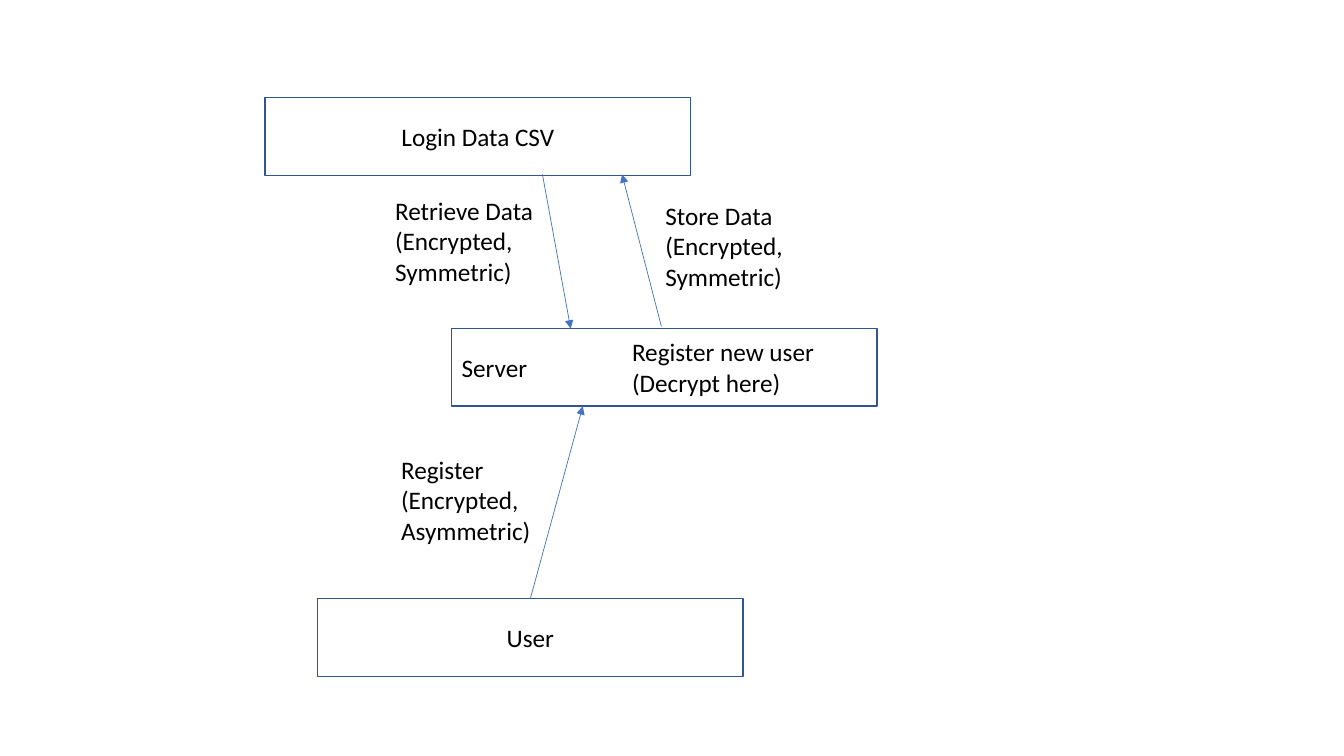
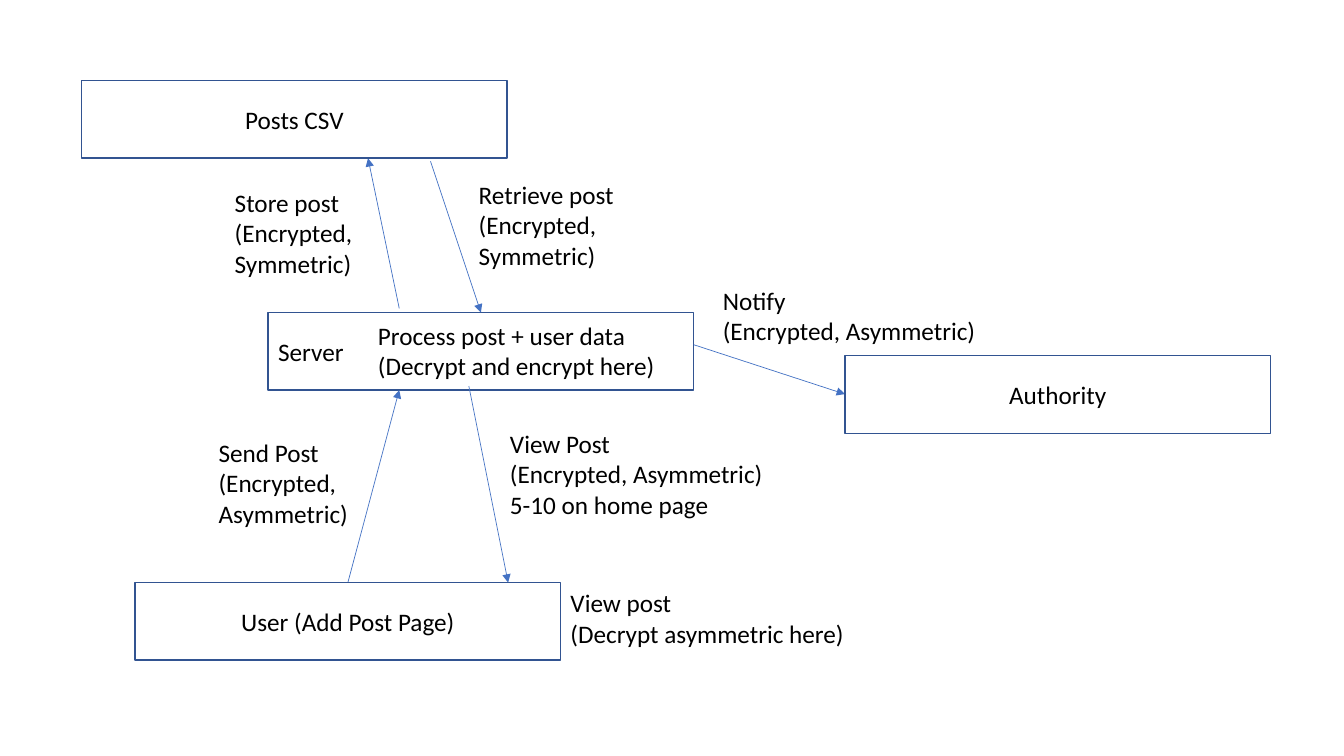
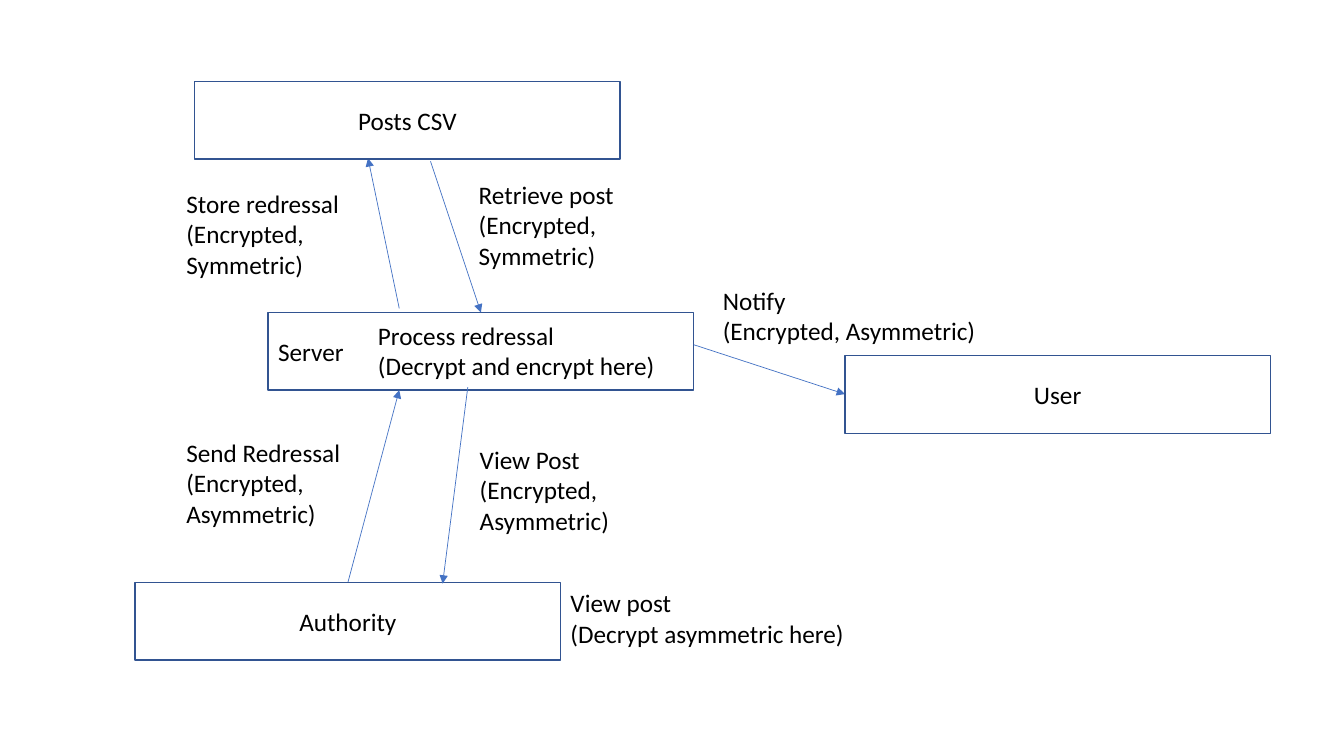
"""Build three data-flow slides showing where messages are encrypted."""
from dataclasses import dataclass

from lxml import etree
from pptx import Presentation
from pptx import util as u
from pptx.dml import color
from pptx.enum import shapes, text
from pptx.oxml import ns

FONT, SIZE = "Calibri", 18
INK, PAPER, EDGE, ARROW = "000000", "FFFFFF", "325491", "4472C4"
BOX_W, BOX_H = 4.22, 0.77
LINE_H, PAD = 0.3, 0.11
LEFT, MID = text.PP_ALIGN.LEFT, text.PP_ALIGN.CENTER


@dataclass(frozen=True)
class Node:
    """A framed party in the flow."""
    name: str
    x: float
    y: float
    align: text.PP_ALIGN = MID


@dataclass(frozen=True)
class Link:
    """An arrow from one point to another."""
    x1: float
    y1: float
    x2: float
    y2: float


@dataclass(frozen=True)
class Label:
    """A free note, with its width and line count."""
    words: str
    x: float
    y: float
    width: float
    lines: int = 3


def paint(fmt, shade: str) -> None:
    """Give a fill a solid colour."""
    fmt.solid()
    fmt.fore_color.rgb = color.RGBColor.from_string(shade)


def write(frame, words: str, *, align=LEFT, anchor=text.MSO_ANCHOR.TOP,
          fit=text.MSO_AUTO_SIZE.NONE, size: int = SIZE,
          shade: str = INK) -> None:
    """Put formatted text in a frame."""
    frame.text = words
    frame.word_wrap = True
    frame.auto_size = fit
    frame.vertical_anchor = anchor
    for para in frame.paragraphs:
        para.alignment = align
        for run in para.runs:
            run.font.name = FONT
            run.font.size = u.Pt(size)
            paint(run.font.fill, shade)


def draw_node(slide, node: Node) -> None:
    """Draw a framed party."""
    rect = slide.shapes.add_shape(
        shapes.MSO_SHAPE.RECTANGLE, u.Inches(node.x), u.Inches(node.y),
        u.Inches(BOX_W), u.Inches(BOX_H))
    rect.shadow.inherit = False
    paint(rect.fill, PAPER)
    paint(rect.line.fill, EDGE)
    rect.line.width = u.Pt(1)
    write(rect.text_frame, node.name, align=node.align,
          anchor=text.MSO_ANCHOR.MIDDLE)


def draw_link(slide, link: Link) -> None:
    """Draw an arrow."""
    wire = slide.shapes.add_connector(
        shapes.MSO_CONNECTOR.STRAIGHT, u.Inches(link.x1), u.Inches(link.y1),
        u.Inches(link.x2), u.Inches(link.y2))
    paint(wire.line.fill, ARROW)
    wire.line.width = u.Pt(0.5)
    props = wire._element.spPr
    etree.SubElement(props.find(ns.qn("a:ln")), ns.qn("a:tailEnd"),
                     type="triangle")
    etree.SubElement(props, ns.qn("a:effectLst"))


def draw_label(slide, label: Label) -> None:
    """Draw a free note."""
    box = slide.shapes.add_textbox(
        u.Inches(label.x), u.Inches(label.y), u.Inches(label.width),
        u.Inches(label.lines * LINE_H + PAD))
    write(box.text_frame, label.words,
          fit=text.MSO_AUTO_SIZE.SHAPE_TO_FIT_TEXT)


DRAW = {Node: draw_node, Link: draw_link, Label: draw_label}

LOGIN = (
    Node("Server", 4.48, 3.26, LEFT),
    Node("User", 3.15, 5.94),
    Node("Login Data CSV", 2.63, 0.97),
    Link(5.26, 5.94, 5.78, 4.03),
    Link(5.38, 1.73, 5.66, 3.26),
    Link(6.56, 3.24, 6.17, 1.73),
    Label("Register\v(Encrypted, Asymmetric)", 3.88, 4.46, 1.73),
    Label("Register new user\v(Decrypt here)", 6.17, 3.29, 2.88, 2),
    Label("Retrieve Data (Encrypted, Symmetric)", 3.82, 1.89, 2.04),
    Label("Store Data (Encrypted, Symmetric)", 6.5, 1.94, 2.04),
)

SHARED = (
    Node("Server", 2.66, 3.1, LEFT),
    Link(3.45, 5.78, 3.96, 3.87),
    Link(3.96, 3.06, 3.65, 1.57),
    Link(4.27, 1.6, 4.77, 3.1),
    Link(6.88, 3.42, 8.38, 3.91),
    Label("Retrieve post (Encrypted, Symmetric)", 4.65, 1.73, 2.04),
    Label("View post\v(Decrypt asymmetric here)", 5.56, 5.78, 3.35, 2),
    Label("Notify\v(Encrypted, Asymmetric)", 7.07, 2.78, 2.85, 2),
)


def flow(source: str, target: str, task: str) -> tuple:
    """List the parts that the two post flows vary only in wording."""
    return SHARED + (
        Node(source, 1.34, 5.78),
        Node(target, 8.38, 3.53),
        Label(f"{task}\v(Decrypt and encrypt here)", 3.65, 3.13, 3.35, 2),
    )


POST = flow("User (Add Post Page)", "Authority",
            "Process post + user data") + (
    Node("Posts CSV", 0.81, 0.8),
    Link(4.65, 3.83, 5.04, 5.78),
    Label("View Post\v(Encrypted, Asymmetric)\n5-10 on home page",
          4.96, 4.2, 3.24),
    Label("Store post (Encrypted, Symmetric)", 2.23, 1.81, 2.04),
    Label("Send Post\v(Encrypted, Asymmetric)", 2.07, 4.29, 1.73),
)

REPLY = flow("Authority", "User", "Process redressal") + (
    Node("Posts CSV", 1.93, 0.81),
    Link(4.64, 3.84, 4.39, 5.79),
    Label("View Post\v(Encrypted, Asymmetric)", 4.66, 4.36, 1.73),
    Label("Store redressal (Encrypted, Symmetric)", 1.75, 1.82, 2.52),
    Label("Send Redressal\v(Encrypted, Asymmetric)", 1.75, 4.29, 2.04),
)


def main() -> None:
    """Draw every slide and save the deck."""
    deck = Presentation()
    deck.slide_width, deck.slide_height = u.Inches(13.33), u.Inches(7.5)
    for parts in (LOGIN, POST, REPLY):
        slide = deck.slides.add_slide(deck.slide_layouts[6])
        for part in parts:
            DRAW[type(part)](slide, part)
    deck.save("out.pptx")


main()
